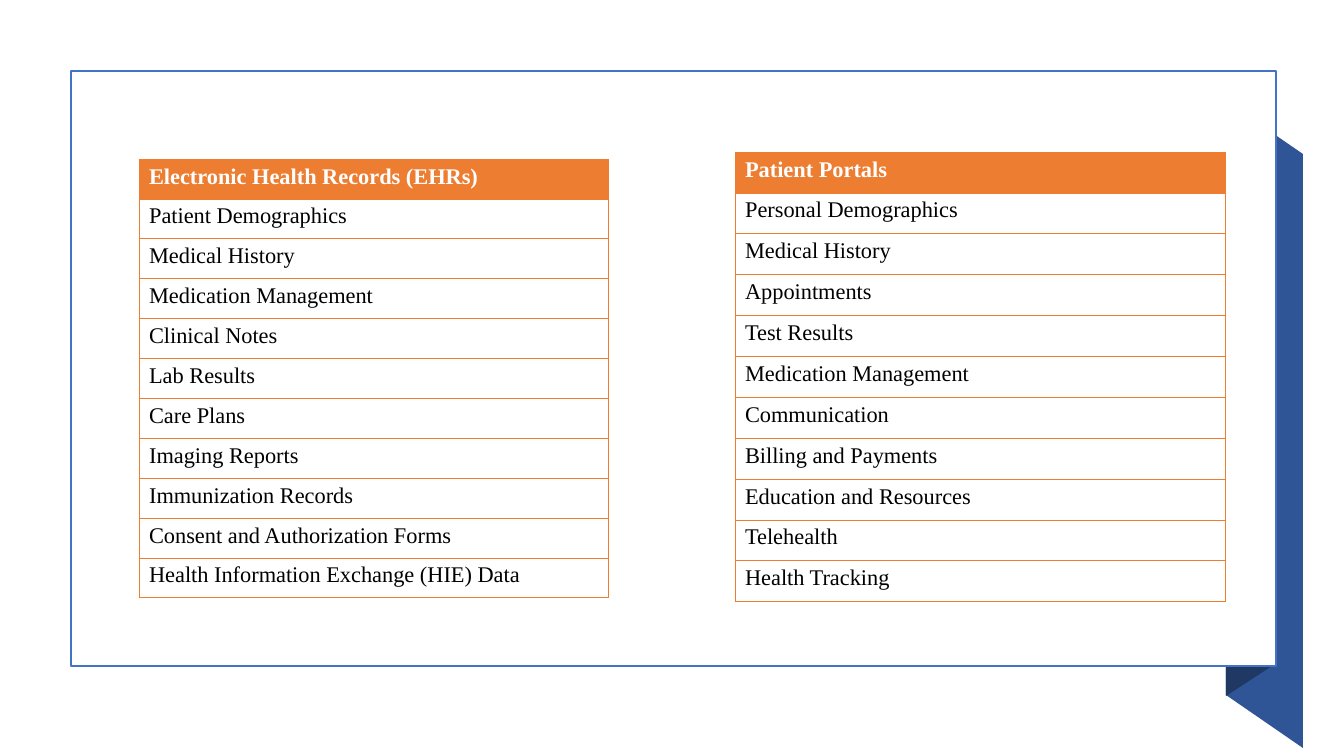
from lxml import etree
from pptx import Presentation
from pptx.dml.color import RGBColor
from pptx.enum.shapes import MSO_SHAPE
from pptx.oxml.ns import qn
from pptx.util import Pt

RECTANGLE = MSO_SHAPE.RECTANGLE
EMU_PER_PX = 914400 / 100.8
SLIDE_SIZE = (1344, 756)

FONT = "Times New Roman"
ORANGE = "ED7D31"
WHITE = "FFFFFF"
BLACK = "000000"
PANEL_BLUE = "4472C4"

RIBBON_PARTS = [
    ("2F5597", [(1303, 748), (1226, 695), (1226, 101), (1303, 154)]),
    ("203864", [(1272, 666), (1226, 696), (1226, 101), (1272, 71)]),
]
PANEL_BOX = (71, 71, 1205, 595)

LISTS = [
    ((139, 159, 469, 439), [
        "Electronic Health Records (EHRs)",
        "Patient Demographics",
        "Medical History",
        "Medication Management",
        "Clinical Notes",
        "Lab Results",
        "Care Plans",
        "Imaging Reports",
        "Immunization Records",
        "Consent and Authorization Forms",
        "Health Information Exchange (HIE) Data",
    ]),
    ((735, 152, 490, 450), [
        "Patient Portals",
        "Personal Demographics",
        "Medical History",
        "Appointments",
        "Test Results",
        "Medication Management",
        "Communication",
        "Billing and Payments",
        "Education and Resources",
        "Telehealth",
        "Health Tracking",
    ]),
]


def px(length):
    return round(length * EMU_PER_PX)


def paint(target, color):
    target.solid()
    target.fore_color.rgb = RGBColor.from_string(color)


def add_ribbon_part(slide, color, corners):
    outline = slide.shapes.build_freeform(*corners[0], scale=EMU_PER_PX)
    outline.add_line_segments(corners[1:], close=True)
    ribbon = outline.convert_to_shape()
    ribbon.shadow.inherit = False
    paint(ribbon.fill, color)
    ribbon.line.fill.background()


def add_panel(slide):
    panel = slide.shapes.add_shape(RECTANGLE, *map(px, PANEL_BOX))
    panel.shadow.inherit = False
    paint(panel.fill, WHITE)
    paint(panel.line.fill, PANEL_BLUE)
    panel.line.width = Pt(1)


def add_borders(cell):
    properties = cell._tc.get_or_add_tcPr()
    for position, side in enumerate(("lnL", "lnR", "lnT", "lnB")):
        border = etree.Element(qn(f"a:{side}"), w=str(Pt(0.5)))
        solid = etree.SubElement(border, qn("a:solidFill"))
        etree.SubElement(solid, qn("a:srgbClr"), val=ORANGE)
        properties.insert(position, border)


def add_list(slide, box, entries):
    table = slide.shapes.add_table(len(entries), 1, *map(px, box)).table
    table.horz_banding = False
    for index, entry in enumerate(entries):
        is_header = index == 0
        table.rows[index].height = px(box[3] / len(entries))
        cell = table.cell(index, 0)
        cell.text = entry
        paint(cell.fill, ORANGE if is_header else WHITE)
        add_borders(cell)
        font = cell.text_frame.paragraphs[0].font
        font.name = FONT
        font.size = Pt(16)
        font.bold = is_header
        paint(font.fill, WHITE if is_header else BLACK)


def main():
    deck = Presentation()
    deck.slide_width, deck.slide_height = map(px, SLIDE_SIZE)
    slide = deck.slides.add_slide(deck.slide_layouts[6])
    for color, corners in RIBBON_PARTS:
        add_ribbon_part(slide, color, corners)
    add_panel(slide)
    for box, entries in LISTS:
        add_list(slide, box, entries)
    deck.save("out.pptx")


if __name__ == "__main__":
    main()
